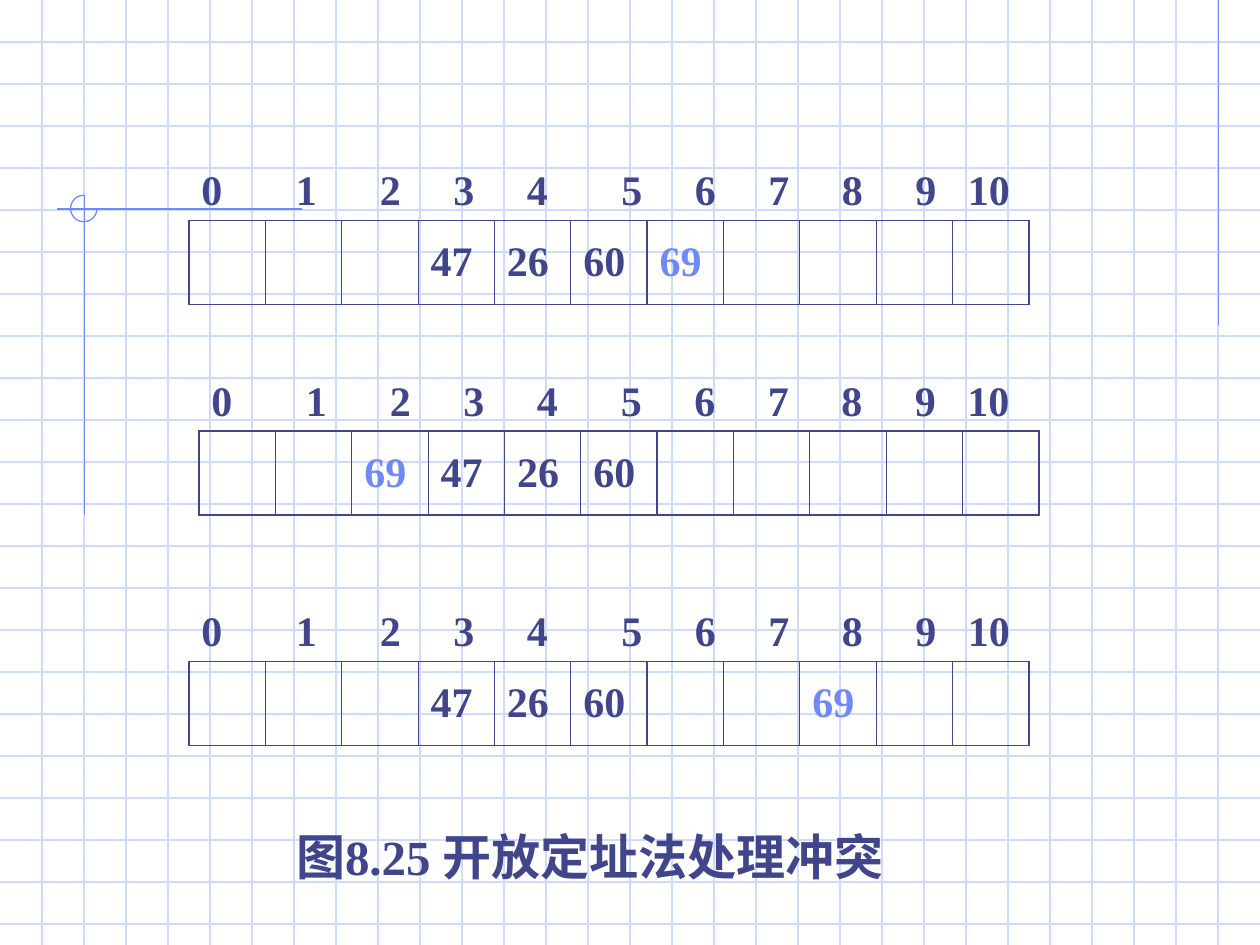
"""Build the slide on resolving hash collisions by open addressing."""
from itertools import accumulate

from lxml import etree
from pptx import Presentation, util as u
from pptx.dml.color import RGBColor
from pptx.enum import shapes, text
from pptx.oxml import ns

INK = RGBColor(0x40, 0x45, 0x8C)
ACCENT = RGBColor(0x6F, 0x89, 0xF7)
GRID = RGBColor(0xCF, 0xDB, 0xFD)
FONT = "Times New Roman"
WIDTH, HEIGHT = 10, 7.5
STEP = 1 / 3
SLOTS = 11
TABLE_WIDTH, ROW_HEIGHT, INDEX_HEIGHT = 20 * STEP, 2 * STEP, 0.5
HEAVY_EDGES = {0, 6, 7, 11}
WIDE_STEPS = [9, 8, 7, 7, 9, 7, 7, 7, 7, 5]
NARROW_STEPS = [9, 8, 7, 7, 8, 7, 7, 7, 7, 5]
PROBES = [
    (1.5, 1.75, {3: 47, 4: 26, 5: 60, 6: 69}, WIDE_STEPS),
    (1.58, 3.42, {2: 69, 3: 47, 4: 26, 5: 60}, NARROW_STEPS),
    (1.5, 5.25, {3: 47, 4: 26, 5: 60, 8: 69}, WIDE_STEPS),
]
INSERTED = 69


def box(*lengths):
    """Convert lengths in inches to slide units."""
    return [u.Inches(length) for length in lengths]


def add_line(slide, start, end, color):
    """Draw a thin straight line without a shadow."""
    line = slide.shapes.add_connector(
        shapes.MSO_CONNECTOR.STRAIGHT, *box(*start, *end))
    line.line.color.rgb = color
    line.line.width = u.Pt(0.75)
    etree.SubElement(line.element.spPr, ns.qn("a:effectLst"))


def write(frame, content, size=24, color=INK, before=0):
    """Put one bold left-aligned paragraph in a text frame."""
    paragraph = frame.paragraphs[0]
    paragraph.alignment = text.PP_ALIGN.LEFT
    paragraph.space_before = u.Pt(before)
    paragraph.text = content
    font = paragraph.font
    font.name, font.size, font.bold = FONT, u.Pt(size), True
    font.color.rgb = color
    return paragraph


def add_background(slide):
    """Draw the squared paper and the accent lines with their arc."""
    for row in range(1, 23):
        add_line(slide, (0, row * STEP), (WIDTH, row * STEP), GRID)
    for column in range(1, 30):
        add_line(slide, (column * STEP, 0), (column * STEP, HEIGHT), GRID)
    add_line(slide, (9.67, 0), (9.67, 2.58), ACCENT)
    add_line(slide, (2.4, 1.66), (0.45, 1.66), ACCENT)
    add_line(slide, (0.67, 1.55), (0.67, 4.09), ACCENT)
    arc = slide.shapes.add_shape(
        shapes.MSO_SHAPE.ARC, *box(0.56, 1.55, 0.21, 0.21))
    arc.adjustments[0], arc.adjustments[1] = 0, 162
    arc.shadow.inherit = False
    arc.fill.background()
    arc.line.color.rgb = ACCENT
    arc.line.width = u.Pt(0.75)


def set_borders(cell, widths):
    """Give a cell its solid borders, keyed by side."""
    properties = cell._tc.get_or_add_tcPr()
    for side, width in widths.items():
        border = etree.SubElement(
            properties, ns.qn(f"a:ln{side}"), w=str(u.Pt(width)))
        fill = etree.SubElement(border, ns.qn("a:solidFill"))
        etree.SubElement(fill, ns.qn("a:srgbClr"), val=str(INK))


def edge_width(edge):
    """Return the line width of a vertical table edge."""
    return 1.08 if edge in HEAVY_EDGES else 0.45


def add_hash_table(slide, left, top, keys):
    """Add one row of slots holding the given keys."""
    table = slide.shapes.add_table(
        1, SLOTS, *box(left, top, TABLE_WIDTH, ROW_HEIGHT)).table
    table.first_row = table.horz_banding = False
    for slot in range(SLOTS):
        table.columns[slot].width = u.Inches(TABLE_WIDTH / SLOTS)
        cell = table.cell(0, slot)
        cell.vertical_anchor = text.MSO_ANCHOR.MIDDLE
        set_borders(cell, {"L": edge_width(slot), "R": edge_width(slot + 1),
                           "T": 1.08, "B": 1.08})
        cell.fill.background()
        if slot in keys:
            color = ACCENT if keys[slot] == INSERTED else INK
            write(cell.text_frame, str(keys[slot]), color=color, before=6)


def add_indexes(slide, left, top, steps):
    """Add the slot numbers, aligned by tab stops in twelfths of an inch."""
    frame = slide.shapes.add_textbox(
        *box(left, top, 8.11 - left, INDEX_HEIGHT)).text_frame
    frame.word_wrap = True
    frame.margin_right = 0
    paragraph = write(frame, "\t".join(map(str, range(SLOTS))))
    properties = paragraph._p.get_or_add_pPr()
    stops = etree.Element(ns.qn("a:tabLst"))
    properties.find(ns.qn("a:defRPr")).addprevious(stops)
    for position in accumulate(steps):
        etree.SubElement(stops, ns.qn("a:tab"),
                         pos=str(u.Inches(position / 12)), algn="l")


def add_caption(slide, content):
    """Place the title below the tables and in front of the grid."""
    title = slide.shapes.title
    title.left, title.top, title.width, title.height = box(
        2.25, 6.51, 5.24, 0.57)
    frame = title.text_frame
    frame.word_wrap = False
    frame.auto_size = text.MSO_AUTO_SIZE.NONE
    frame.vertical_anchor = text.MSO_ANCHOR.TOP
    write(frame, content, size=28)
    slide.shapes.element.append(title.element)


def main():
    """Build and save the presentation."""
    presentation = Presentation()
    presentation.slide_width, presentation.slide_height = box(WIDTH, HEIGHT)
    slide = presentation.slides.add_slide(presentation.slide_layouts[5])
    add_background(slide)
    add_caption(slide, "图8.25 开放定址法处理冲突")
    for left, top, keys, steps in PROBES:
        add_hash_table(slide, left, top, keys)
        add_indexes(slide, left, top - INDEX_HEIGHT, steps)
    presentation.save("out.pptx")


if __name__ == "__main__":
    main()
